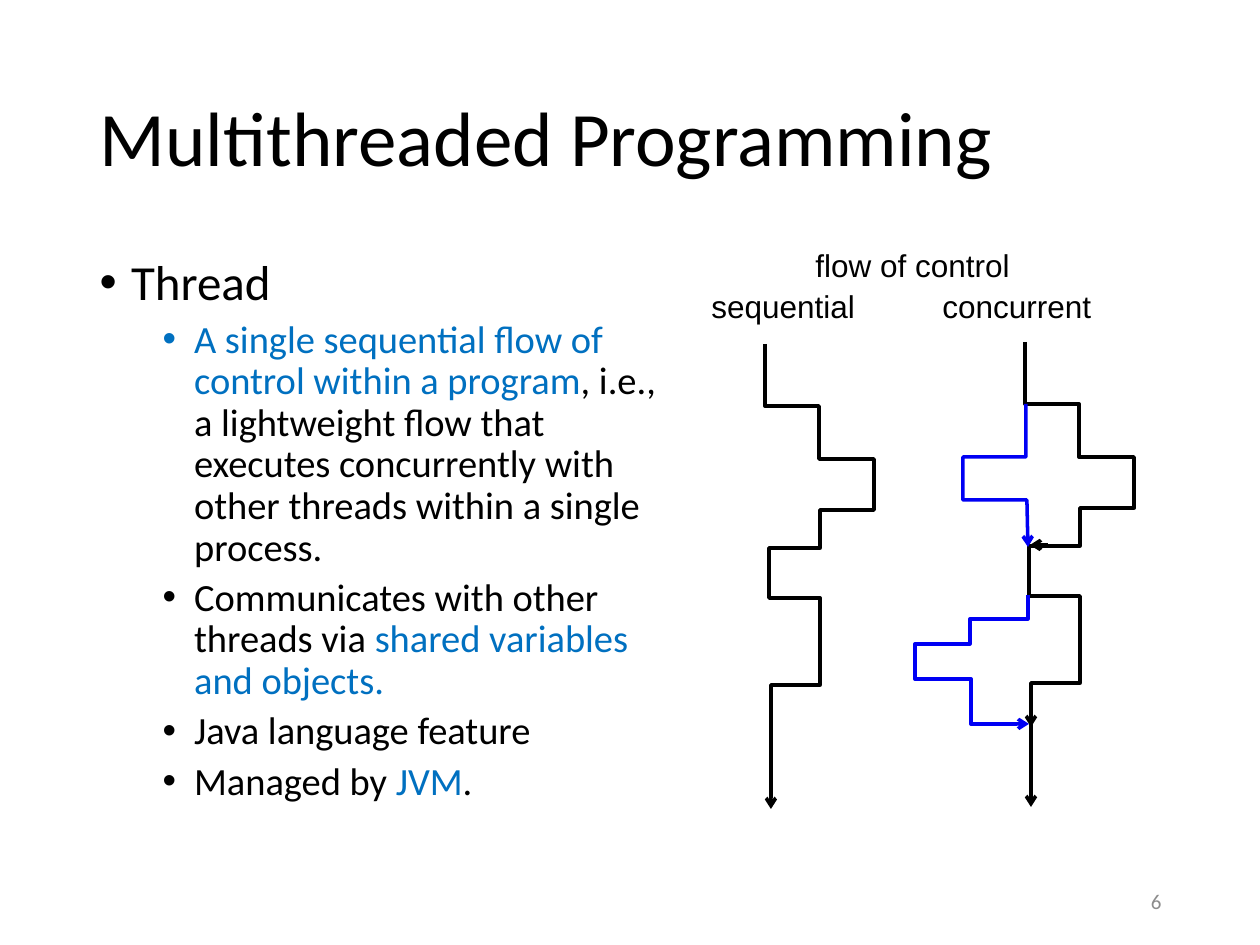
from pptx import Presentation
from pptx.dml.color import RGBColor
from pptx.enum.shapes import MSO_CONNECTOR
from pptx.enum.text import MSO_ANCHOR, MSO_AUTO_SIZE, PP_ALIGN
from pptx.oxml.ns import qn
from pptx.util import Inches, Pt
from lxml import etree

PX = 914400 / 126
LEFT, RIGHT = PP_ALIGN.LEFT, PP_ALIGN.RIGHT
TOP, MIDDLE = MSO_ANCHOR.TOP, MSO_ANCHOR.MIDDLE
NO_FIT, STRAIGHT = MSO_AUTO_SIZE.NONE, MSO_CONNECTOR.STRAIGHT
COLORS = {"black": "000000", "accent": "0070C0", "branch": "0000F4", "gray": "8C8C8C"}

TITLE = "Multithreaded Programming"
# (level, [(text, color), ...])
BULLETS = [
    (0, [("Thread", "black")]),
    (1, [("A single sequential flow of control within a program", "accent"),
         (", i.e., a lightweight flow that executes concurrently with other "
          "threads within a single process.", "black")]),
    (1, [("Communicates with other threads via ", "black"),
         ("shared variables and objects.", "accent")]),
    (1, [("Java language feature", "black")]),
    (1, [("Managed by ", "black"), ("JVM", "accent"), (".", "black")]),
]
# level: (size, left margin in inches, space before)
LEVELS = {0: (28, 0.25, 10), 1: (22, 0.75, 5)}

# (text, box, size, font, color, alignment, anchor)
LABELS = [
    ("6", (890, 876, 284, 50), 12, "Calibri", "gray", RIGHT, MIDDLE),
    ("flow of control", (803, 240, 240, 50), 18, "Arial", "black", LEFT, TOP),
    ("sequential", (699, 281, 190, 50), 18, "Arial", "black", LEFT, TOP),
    ("concurrent", (930, 281, 190, 50), 18, "Arial", "black", LEFT, TOP),
]

MAIN_FLOW = [(765, 344), (765, 406), (819, 406), (819, 459), (874, 459),
             (874, 510), (820, 510), (820, 548), (769, 548), (769, 598),
             (820, 598), (820, 685), (771, 685), (771, 809)]
CONCURRENT_SHIFT = (260, -2)
FIRST_BRANCH = [(1026, 404), (1026, 457), (963, 457), (963, 500),
                (1027, 500), (1028, 547)]
SECOND_BRANCH = [(1028, 595), (1028, 619), (970, 619), (970, 644), (915, 644),
                 (915, 679), (971, 679), (971, 724), (1029, 724)]
JOINS = [((1048, 545), (1030, 545)), ((1031, 707), (1031, 727))]


def px(*values):
    """Turn pixels into EMU."""
    return [round(v * PX) for v in values]


def add_run(p, text, size, font, color):
    """Append a formatted run."""
    r = p.add_run()
    r.text = text
    r.font.size = Pt(size)
    r.font.name = font
    r.font.color.rgb = RGBColor.from_string(COLORS[color])


def place(sp, box):
    """Move and size a shape."""
    sp.left, sp.top, sp.width, sp.height = px(*box)


def style_arrow(line, color):
    """Set a 2 pt line that ends in an open arrowhead."""
    line.color.rgb = RGBColor.from_string(COLORS[color])
    line.width = Pt(2)
    ln = line._get_or_add_ln()
    etree.SubElement(ln, qn("a:tailEnd"), type="arrow")


def add_flow(slide, points, color):
    """Draw an open stepped path with an arrowhead."""
    builder = slide.shapes.build_freeform(*points[0], scale=PX)
    builder.add_line_segments(points[1:], close=False)
    sp = builder.convert_to_shape()
    sp.fill.background()
    sp.shadow.inherit = False
    style_arrow(sp.line, color)


def add_join(slide, start, end):
    """Draw a short arrow where flows meet."""
    cx = slide.shapes.add_connector(STRAIGHT, *px(*start, *end))
    style_arrow(cx.line, "black")
    etree.SubElement(cx._element.spPr, qn("a:effectLst"))


def add_label(slide, text, box, size, font, color, align, anchor):
    """Add a one-line text box."""
    tf = slide.shapes.add_textbox(*px(*box)).text_frame
    tf.word_wrap = True
    tf.vertical_anchor = anchor
    p = tf.paragraphs[0]
    p.alignment = align
    add_run(p, text, size, font, color)


def fill_title(sp):
    """Format and fill the title."""
    place(sp, (87, 50, 1086, 183))
    tf = sp.text_frame
    tf.auto_size = NO_FIT
    tf.vertical_anchor = MIDDLE
    p = tf.paragraphs[0]
    p.alignment = LEFT
    p.line_spacing = 0.9
    add_run(p, TITLE, 44, "Calibri", "black")


def fill_body(sp):
    """Format and fill the bulleted list."""
    place(sp, (87, 252, 593, 600))
    tf = sp.text_frame
    tf.auto_size = NO_FIT
    for i, (level, runs) in enumerate(BULLETS):
        p = tf.add_paragraph() if i else tf.paragraphs[0]
        size, margin, before = LEVELS[level]
        p.level = level
        p.line_spacing = 0.9
        p.space_before = Pt(before)
        pPr = p._p.get_or_add_pPr()
        pPr.set("marL", str(Inches(margin)))
        pPr.set("indent", str(Inches(-0.25)))
        etree.SubElement(pPr, qn("a:buFont"), typeface="Arial")
        etree.SubElement(pPr, qn("a:buChar"), char="•")
        for text, color in runs:
            add_run(p, text, size, "Calibri", color)


prs = Presentation()
prs.slide_width, prs.slide_height = Inches(10), Inches(7.5)
slide = prs.slides.add_slide(prs.slide_layouts[1])
fill_title(slide.shapes.title)
fill_body(slide.placeholders[1])

dx, dy = CONCURRENT_SHIFT
add_flow(slide, MAIN_FLOW, "black")
add_flow(slide, [(x + dx, y + dy) for x, y in MAIN_FLOW], "black")
for branch in (FIRST_BRANCH, SECOND_BRANCH):
    add_flow(slide, branch, "branch")
for start, end in JOINS:
    add_join(slide, start, end)
for label in LABELS:
    add_label(slide, *label)

prs.save("out.pptx")
